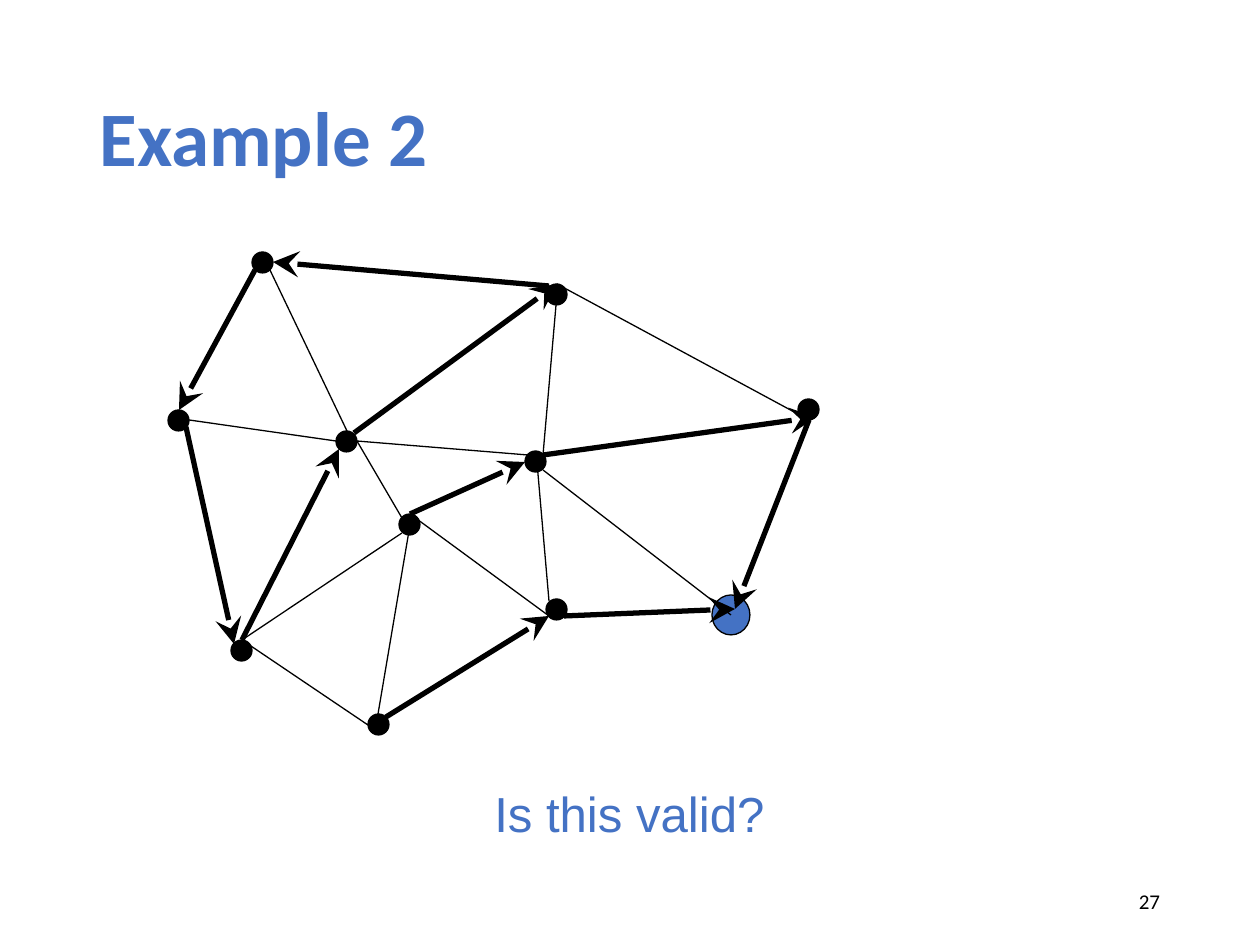
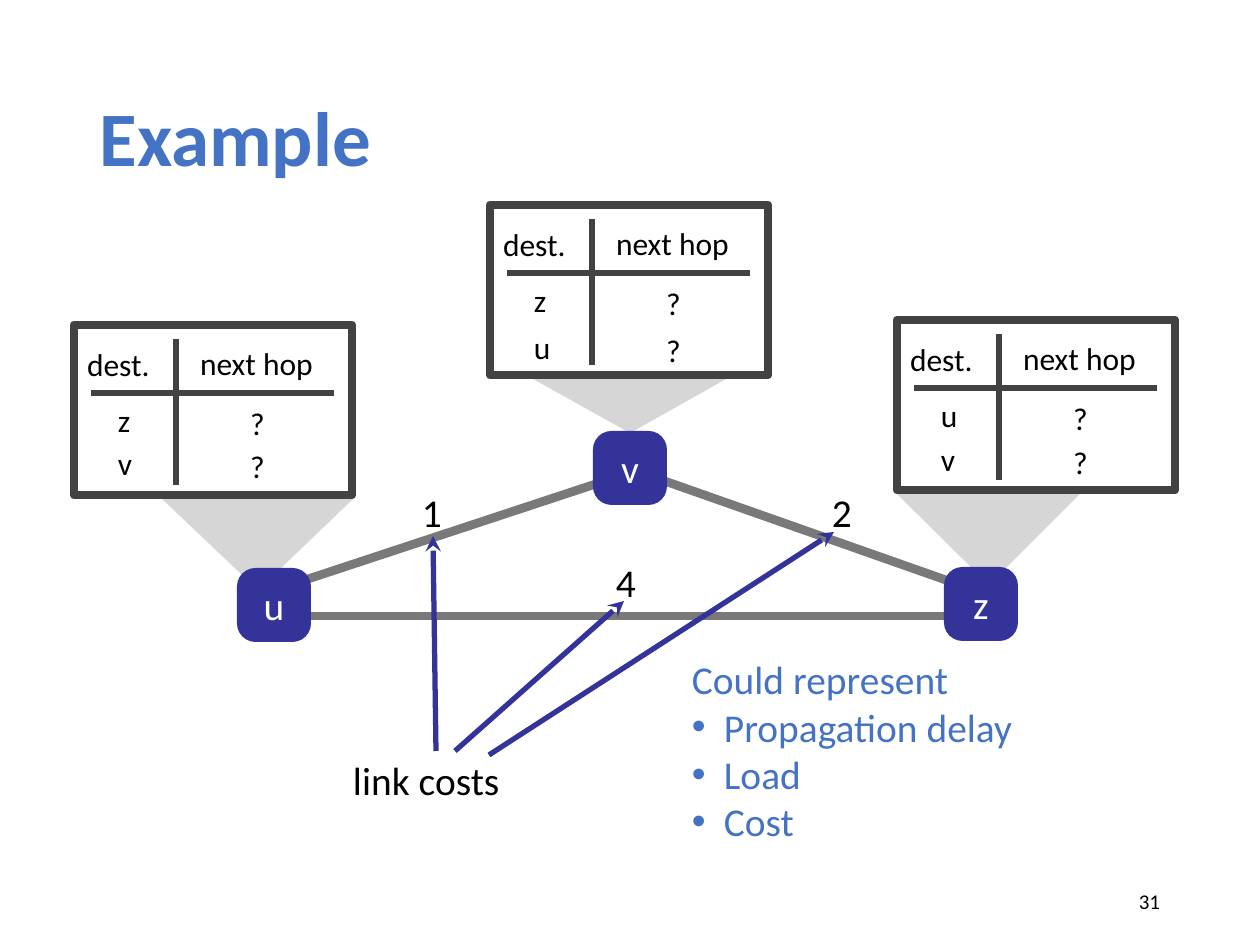
"""Build two slides: a directed path over a graph and a routing-table example."""
from lxml import etree
from pptx import Presentation
from pptx.dml.color import RGBColor
from pptx.enum.shapes import MSO_CONNECTOR, MSO_SHAPE
from pptx.enum.text import MSO_ANCHOR, PP_ALIGN
from pptx.oxml.ns import qn
from pptx.util import Emu, Pt

STRAIGHT = MSO_CONNECTOR.STRAIGHT
OVAL, RECT, ROUNDED = MSO_SHAPE.OVAL, MSO_SHAPE.RECTANGLE, MSO_SHAPE.ROUNDED_RECTANGLE
TOP, MIDDLE = MSO_ANCHOR.TOP, MSO_ANCHOR.MIDDLE
LEFT, CENTER, RIGHT = PP_ALIGN.LEFT, PP_ALIGN.CENTER, PP_ALIGN.RIGHT

EMU_PER_PX = 914400 / 126
SLIDE_SIZE = (1260, 945)
COLORS = {
    "accent": "4472C4", "ink": "000000", "white": "FFFFFF", "router": "333399",
    "frame": "424242", "link": "797979", "cone": "D6D6D6",
}
TITLE_BOX = (87, 50, 1086, 183)
NUMBER_BOX = (890, 876, 283, 50)

GOAL = (712, 595, 38, 40)
DOT_SIZE = 21
DOTS = [
    (252, 252), (168, 410), (546, 284), (546, 599), (368, 714),
    (336, 431), (798, 399), (399, 514), (231, 640), (525, 451),
]
GRAPH_EDGES = [
    (270, 270, 347, 431), (357, 441, 402, 518), (543, 470, 731, 615),
    (557, 294, 543, 455), (557, 284, 809, 420), (242, 640, 368, 725),
    (410, 514, 549, 616), (536, 451, 549, 601), (410, 525, 378, 714),
    (357, 441, 528, 455), (189, 420, 336, 441), (242, 640, 402, 533),
]
PATH_ARROWS = [
    (255, 270, 179, 410), (186, 427, 234, 644), (564, 616, 735, 609),
    (386, 717, 549, 616), (242, 640, 339, 449), (410, 514, 525, 462),
    (543, 455, 816, 417), (549, 286, 273, 262), (354, 433, 557, 284),
    (809, 420, 735, 609),
]
QUESTION = ("Is this valid?", (220, 777, 819, 72))

ROUTERS = [
    {"name": "u", "at": (237, 568), "table": (74, 325), "rows": [("z", 63), ("v", 106)],
     "cone": [(161, 498), (354, 498), (258, 590)]},
    {"name": "z", "at": (944, 567), "table": (897, 320), "rows": [("u", 63), ("v", 107)],
     "cone": [(897, 494), (1080, 494), (989, 585)]},
    {"name": "v", "at": (593, 431), "table": (490, 205), "rows": [("z", 63), ("u", 110)],
     "cone": [(533, 379), (726, 379), (630, 433)]},
]
ROUTER_SIZE = 74
TABLE_SIZE = (278, 170)
TABLE_HEADINGS = [("dest.", (8, 10, 197, 58)), ("next hop", (121, 9, 155, 58))]
TABLE_RULES = [(17, 68, 260, 68), (102, 160, 102, 14)]
LINKS = [(614, 478, 296, 583), (305, 616, 975, 616), (656, 478, 977, 591)]
LINK_LABELS = [
    ("4", (611, 553, 37, 58)), ("1", (417, 483, 37, 58)), ("2", (827, 483, 37, 58)),
    ("link costs", (348, 751, 193, 58)),
]
COST_ARROWS = [(436, 751, 433, 536), (455, 751, 624, 601), (489, 755, 834, 532)]
COST_MEANINGS = ["Could represent", "Propagation delay", "Load", "Cost"]
MEANINGS_BOX = (687, 650, 440, 200)
BULLET_INDENT = 32


def px(length):
    """Turn pixels into EMU."""
    return Emu(round(length * EMU_PER_PX))


def rgb(name):
    """Look up a named colour."""
    return RGBColor.from_string(COLORS[name])


def style(paragraph, size, color, align=LEFT, font="Calibri", bold=False):
    """Format a whole paragraph."""
    paragraph.alignment = align
    paragraph.font.size = Pt(size)
    paragraph.font.name = font
    paragraph.font.bold = bold
    paragraph.font.color.rgb = rgb(color)


def set_insets(frame, side, top):
    """Set the horizontal and vertical insets of a text frame."""
    frame.margin_left = frame.margin_right = px(side)
    frame.margin_top = frame.margin_bottom = px(top)


def add_text(slide, lines, box, size, color="ink", insets=(5, 5), anchor=MIDDLE, **look):
    """Add a wrapping text box with one paragraph per line."""
    frame = slide.shapes.add_textbox(*map(px, box)).text_frame
    frame.word_wrap = True
    frame.vertical_anchor = anchor
    set_insets(frame, *insets)
    frame.text = "\n".join(lines)
    for paragraph in frame.paragraphs:
        style(paragraph, size, color, **look)
    return frame


def paint(shape, fill=None, line=None, width=0.75):
    """Give a shape its fill and outline, without a shadow."""
    shape.shadow.inherit = False
    if fill:
        shape.fill.solid()
        shape.fill.fore_color.rgb = rgb(fill)
    else:
        shape.fill.background()
    if line:
        shape.line.color.rgb = rgb(line)
        shape.line.width = Pt(width)
    else:
        shape.line.fill.background()


def add_shape(slide, preset, box, **look):
    """Add a painted preset shape."""
    shape = slide.shapes.add_shape(preset, *map(px, box))
    paint(shape, **look)
    return shape


def add_line(slide, ends, color, width, arrow=None):
    """Add a straight line, with a stealth arrowhead of a given size at its end."""
    line = slide.shapes.add_connector(STRAIGHT, *map(px, ends))
    line.line.color.rgb = rgb(color)
    line.line.width = Pt(width)
    properties = line._element.spPr
    if arrow:
        etree.SubElement(properties.find(qn("a:ln")), qn("a:tailEnd"),
                         type="stealth", w=arrow, len=arrow)
    etree.SubElement(properties, qn("a:effectLst"))


def add_slide(deck, heading, number):
    """Add a slide with its title and page number."""
    slide = deck.slides.add_slide(deck.slide_layouts[5])
    title = slide.shapes.title
    title.left, title.top, title.width, title.height = map(px, TITLE_BOX)
    title.text = heading
    title.text_frame.vertical_anchor = MIDDLE
    paragraph = title.text_frame.paragraphs[0]
    paragraph.line_spacing = 0.9
    style(paragraph, 44, "accent", bold=True)
    add_text(slide, [number], NUMBER_BOX, 12, insets=(13, 6), align=RIGHT)
    return slide


def add_routing_table(slide, origin, rows):
    """Draw a framed routing table whose next hops are unknown."""
    left, top = origin
    add_shape(slide, RECT, (left, top, *TABLE_SIZE), line="frame", width=5)
    cells = list(TABLE_HEADINGS)
    for destination, drop in rows:
        cells += [(destination, (39, drop, 62, 64)), ("?", (171, drop + 3, 33, 64))]
    for text, (x, y, width, height) in cells:
        add_text(slide, [text], (left + x, top + y, width, height), 18)
    for x1, y1, x2, y2 in TABLE_RULES:
        add_line(slide, (left + x1, top + y1, left + x2, top + y2), "frame", 3)


def add_cone(slide, corners):
    """Draw the triangle that ties a table to its router."""
    builder = slide.shapes.build_freeform(*corners[0], scale=EMU_PER_PX)
    builder.add_line_segments(corners[1:], close=True)
    paint(builder.convert_to_shape(), fill="cone")


def add_router(slide, name, origin):
    """Draw a labelled router."""
    router = add_shape(slide, ROUNDED, (*origin, ROUTER_SIZE, ROUTER_SIZE), fill="router")
    router.adjustments[0] = 0.25
    frame = router.text_frame
    frame.vertical_anchor = MIDDLE
    set_insets(frame, 0, 0)
    frame.text = name
    style(frame.paragraphs[0], 22.5, "white", align=CENTER)


def add_bullet(paragraph):
    """Give a paragraph a hanging round bullet."""
    properties = paragraph._p.get_or_add_pPr()
    properties.set("marL", str(px(BULLET_INDENT)))
    properties.set("indent", str(-px(BULLET_INDENT)))
    font = etree.Element(qn("a:buFont"), typeface="Arial")
    properties.insert(0, font)
    font.addnext(etree.Element(qn("a:buChar"), char="•"))


def build_graph_slide(deck):
    """Build the graph with a chosen path."""
    slide = add_slide(deck, "Example 2", "27")
    add_shape(slide, OVAL, GOAL, fill="accent", line="ink")
    for dot in DOTS:
        add_shape(slide, OVAL, (*dot, DOT_SIZE, DOT_SIZE), fill="ink", line="ink")
    for edge in GRAPH_EDGES:
        add_line(slide, edge, "ink", 0.75)
    for step in PATH_ARROWS:
        add_line(slide, step, "ink", 3, arrow="lg")
    question, box = QUESTION
    add_text(slide, [question], box, 28.1, "accent", insets=(13, 6), anchor=TOP,
             align=CENTER, font="Arial")


def build_routing_slide(deck):
    """Build the three routers with their tables and link costs."""
    slide = add_slide(deck, "Example", "31")
    for router in ROUTERS:
        add_cone(slide, router["cone"])
    for link in LINKS:
        add_line(slide, link, "link", 5)
    for router in ROUTERS:
        add_router(slide, router["name"], router["at"])
        add_routing_table(slide, router["table"], router["rows"])
    for label, box in LINK_LABELS:
        add_text(slide, [label], box, 22.5)
    for arrow in COST_ARROWS:
        add_line(slide, arrow, "router", 3, arrow="med")
    meanings = add_text(slide, COST_MEANINGS, MEANINGS_BOX, 22.5, "accent")
    for paragraph in meanings.paragraphs[1:]:
        add_bullet(paragraph)


def main():
    """Build and save the deck."""
    deck = Presentation()
    deck.slide_width, deck.slide_height = map(px, SLIDE_SIZE)
    build_graph_slide(deck)
    build_routing_slide(deck)
    deck.save("out.pptx")


if __name__ == "__main__":
    main()
